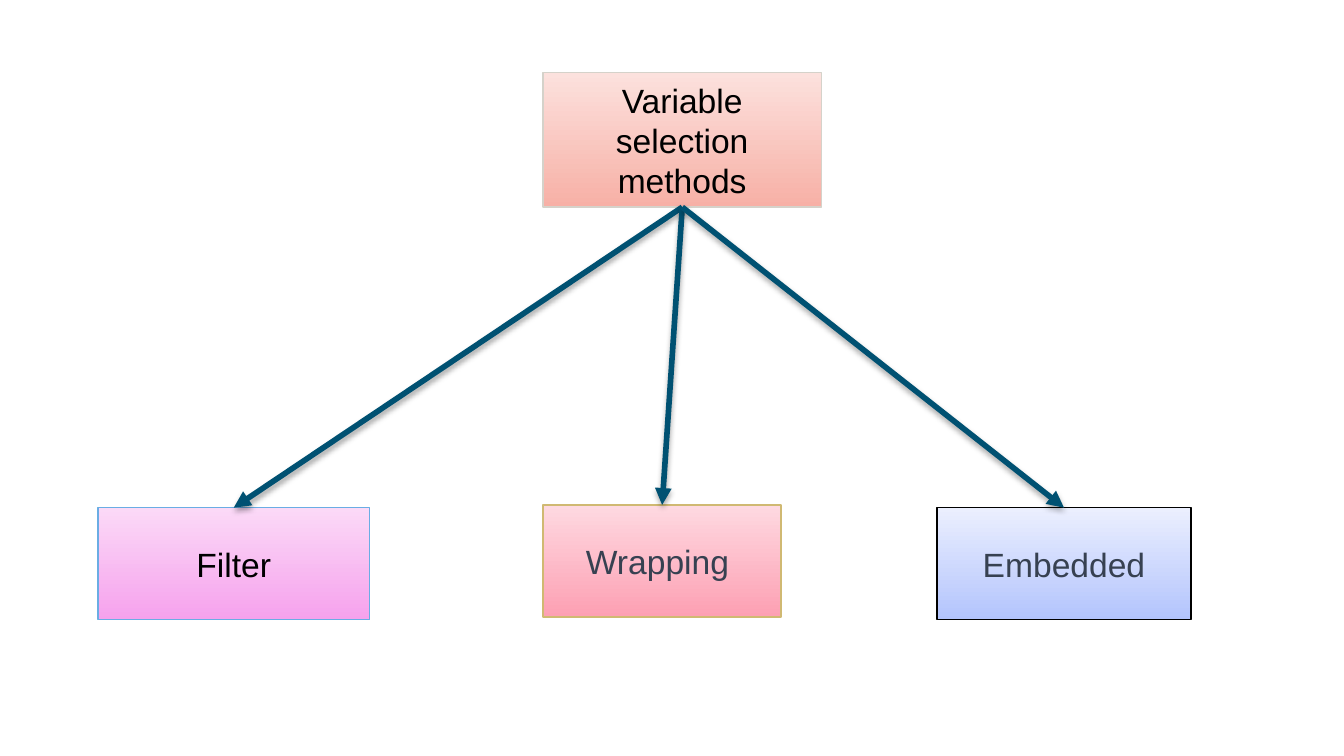
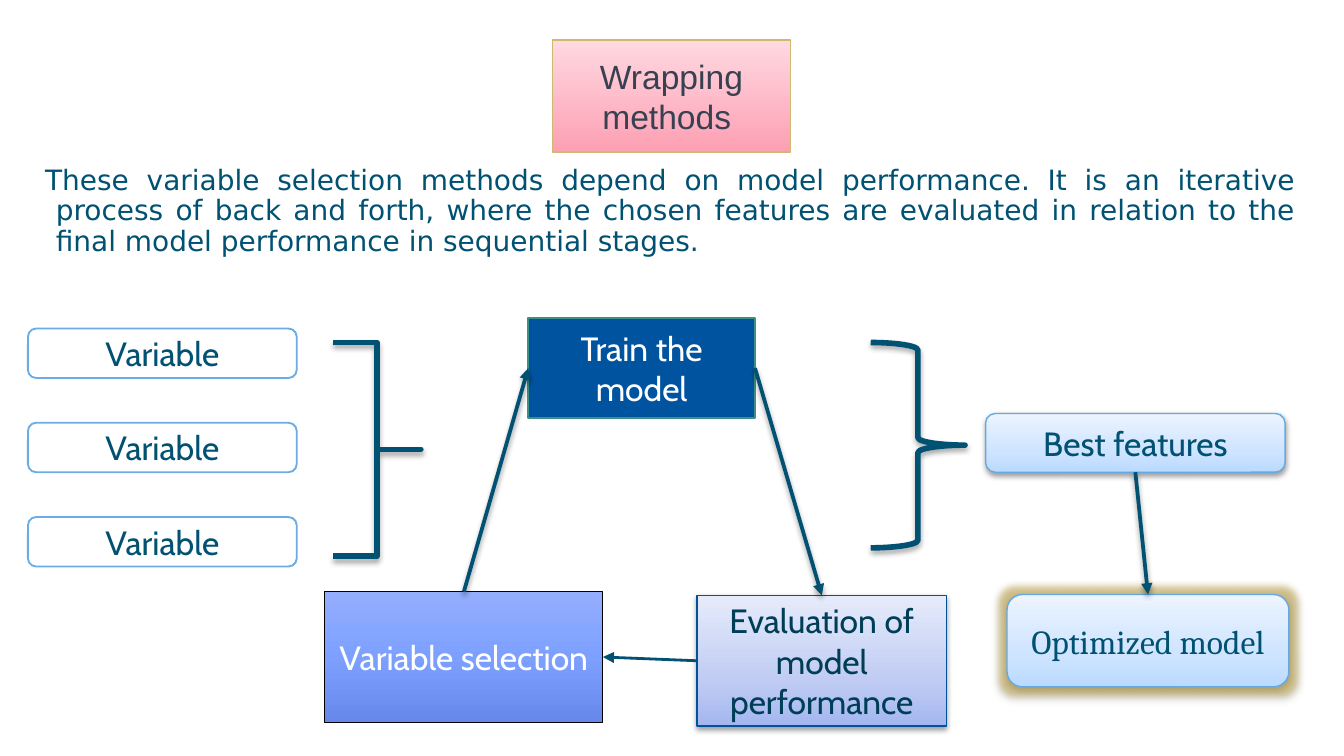
from lxml import etree
from pptx import Presentation
from pptx.dml.color import RGBColor
from pptx.enum.shapes import MSO_CONNECTOR, MSO_SHAPE
from pptx.enum.text import MSO_ANCHOR, MSO_AUTO_SIZE, PP_ALIGN
from pptx.oxml.ns import qn
from pptx.util import Pt

RECT, ROUND = MSO_SHAPE.RECTANGLE, MSO_SHAPE.ROUNDED_RECTANGLE
BRACE = MSO_SHAPE.RIGHT_BRACE
STRAIGHT = MSO_CONNECTOR.STRAIGHT
CENTER, JUSTIFY = PP_ALIGN.CENTER, PP_ALIGN.JUSTIFY
MIDDLE, TOP_ANCHOR = MSO_ANCHOR.MIDDLE, MSO_ANCHOR.TOP
NO_AUTOFIT = MSO_AUTO_SIZE.NONE
TOP, LEFT, BOTTOM, RIGHT = range(4)

TEAL, SLATE, BLACK, WHITE = "005172", "374151", "000000", "FFFFFF"
SKY, GOLD = "6AADE4", "D0B972"
PINK = [(0, "FED9E1"), (100, "FDA0B3")]
ICE = [(0, "ECF4FF"), (65, "CEE4FF"), (100, "BADAFF")]

# Shadows: opacity in percent, blur and distance in points
SOFT = (38, 3.1, 1.6)
DEEP = (35, 3.1, 1.8)


def rgb(value):
    return RGBColor.from_string(value)


def add_color(parent, value, alpha=100):
    color = etree.SubElement(parent, qn("a:srgbClr"), val=value)
    if alpha < 100:
        etree.SubElement(color, qn("a:alpha"), val=str(alpha * 1000))


def set_fill(sp, fill):
    """Fill with nothing, one colour, or a list of stops from top to bottom."""
    if fill is None:
        sp.fill.background()
    elif isinstance(fill, str):
        sp.fill.solid()
        sp.fill.fore_color.rgb = rgb(fill)
    else:
        sp.fill.gradient()
        sp.fill.gradient_angle = 270
        stops = sp._element.spPr.find(qn("a:gradFill")).find(qn("a:gsLst"))
        for stop in list(stops):
            stops.remove(stop)
        for pos, value in fill:
            add_color(etree.SubElement(stops, qn("a:gs"), pos=str(pos * 1000)), value)


def set_line(sp, color, width):
    sp.line.color.rgb = rgb(color)
    sp.line.width = Pt(width)


def set_effects(sp, shadow=None, glow=None):
    """Replace the theme effects; glow is colour, opacity and radius."""
    spPr = sp._element.spPr
    effects = spPr.find(qn("a:effectLst"))
    if effects is None:
        effects = etree.SubElement(spPr, qn("a:effectLst"))
    if glow:
        color, alpha, radius = glow
        add_color(etree.SubElement(effects, qn("a:glow"), rad=str(Pt(radius))), color, alpha)
    if shadow:
        alpha, blur, dist = shadow
        outer = etree.SubElement(effects, qn("a:outerShdw"), blurRad=str(Pt(blur)),
                                 dist=str(Pt(dist)), dir="5400000", rotWithShape="0")
        add_color(outer, BLACK, alpha)


def write(sp, text, font="Cabin", size=18, color=TEAL, align=CENTER, anchor=MIDDLE):
    tf = sp.text_frame
    tf.word_wrap = True
    tf.auto_size = NO_AUTOFIT
    tf.vertical_anchor = anchor
    tf.margin_left = tf.margin_right = Pt(5.4)
    tf.margin_top = tf.margin_bottom = Pt(2.7)
    tf.text = text
    for p in tf.paragraphs:
        p.alignment = align
        for r in p.runs:
            r.font.name, r.font.size = font, Pt(size)
            r.font.color.rgb = rgb(color)
    return tf


def add_box(s, x, y, w, h, text=None, kind=RECT, adj=(), fill=None, line=TEAL,
            width=0.75, shadow=None, glow=None, **text_format):
    sp = s.shapes.add_shape(kind, Pt(x), Pt(y), Pt(w), Pt(h))
    for i, value in enumerate(adj):
        sp.adjustments[i] = value
    sp.shadow.inherit = False
    set_fill(sp, fill)
    set_line(sp, line, width)
    set_effects(sp, shadow, glow)
    if text:
        write(sp, text, **text_format)
    return sp


def add_arrow(s, start, start_side, end, end_side, width=2, shadow=SOFT):
    c = s.shapes.add_connector(STRAIGHT, 0, 0, 0, 0)
    c.begin_connect(start, start_side)
    c.end_connect(end, end_side)
    set_line(c, TEAL, width)
    etree.SubElement(c._element.spPr.find(qn("a:ln")), qn("a:tailEnd"), type="triangle")
    set_effects(c, shadow)


def add_brace(s, x, y, w, h, curve):
    add_box(s, x, y, w, h, kind=BRACE, adj=(curve, 0.5), width=3, shadow=DEEP)


def add_wrapping(s, x, y, text):
    return add_box(s, x, y, 127.5, 60, text, fill=PINK, line=GOLD, font="Arial", color=SLATE)


def method_tree(s, x, y):
    root = add_box(s, x + 238.5, y, 149, 72, "Variable selection methods",
                   fill=[(0, "FCE1DD"), (100, "F7B0A6")], line="D5D2CA",
                   font="Arial", color=BLACK)
    leaves = [
        add_box(s, x, y + 233, 145.5, 60, "Filter", line=SKY, font="Arial", color=BLACK,
                fill=[(0, "FBD9F7"), (100, "F6A2ED")]),
        add_wrapping(s, x + 238.5, y + 231.5, "Wrapping "),
        add_box(s, x + 449.5, y + 233, 136, 60, "Embedded", line=BLACK, font="Arial",
                color=SLATE, fill=[(0, "EBEFFE"), (100, "B3C4FD")]),
    ]
    for leaf in leaves:
        add_arrow(s, root, BOTTOM, leaf, TOP, width=3, shadow=DEEP)


def description(s, x, y, w, h):
    body = s.placeholders[1]
    body.left, body.top, body.width, body.height = Pt(x), Pt(y), Pt(w), Pt(h)
    tf = write(body, "These variable selection methods depend on model performance. "
               "It is an iterative process of back and forth, where the chosen features "
               "are evaluated in relation to the final model performance in sequential "
               "stages.", font="DejaVu Sans", size=15, align=JUSTIFY, anchor=TOP_ANCHOR)
    p = tf.paragraphs[0]
    p.line_spacing, p.space_before = 0.9, Pt(0)
    pPr = p._p.get_or_add_pPr()
    pPr.set("marL", str(Pt(13.5)))
    pPr.set("indent", str(Pt(-5.75)))
    etree.SubElement(pPr, qn("a:buNone"))


def variable_inputs(s, x, y):
    for i in range(3):
        add_box(s, x, y + 50.5 * i, 144, 26.5, "Variable", kind=ROUND, fill=WHITE,
                line=SKY, width=1)
    add_brace(s, x + 163.5, y + 7.5, 47, 114.5, curve=0)


def training_loop(s, x, y):
    train = add_box(s, x + 109, y, 121.5, 53.5, "Train the model", fill="00549F",
                    line="3E9087", width=1, color=WHITE)
    evaluation = add_box(s, x + 199.5, y + 148.5, 133.5, 70,
                         "Evaluation of model performance", line="00529B", shadow=SOFT,
                         fill=[(0, "E6EBFB"), (65, "C0CCF3"), (100, "A3B6EF")],
                         color="003D56")
    selection = add_box(s, x, y + 146.5, 149, 70, "Variable selection", line=BLACK,
                        fill=[(0, "94AEFE"), (50, "7DA0FF"), (100, "6688EA")],
                        color=WHITE)
    add_arrow(s, selection, TOP, train, LEFT)
    add_arrow(s, train, RIGHT, evaluation, TOP)
    add_arrow(s, evaluation, LEFT, selection, RIGHT, width=1.5, shadow=None)


def final_result(s, x, y):
    add_brace(s, x, y, 50.5, 110, curve=0.08)
    look = dict(kind=ROUND, fill=ICE, line="65A9E2", shadow=SOFT)
    best = add_box(s, x + 61.5, y + 38, 160.5, 31.5, "Best features", **look)
    optimized = add_box(s, x + 73, y + 135, 151, 49.5, "Optimized model",
                        font="Cambria", glow=("C8A840", 50, 8), **look)
    add_arrow(s, best, BOTTOM, optimized, TOP)


def overview_slide(prs):
    s = prs.slides.add_slide(prs.slide_layouts[6])
    method_tree(s, 52.5, 39)


def wrapping_slide(prs):
    s = prs.slides.add_slide(prs.slide_layouts[1])
    title = s.shapes.title._element
    title.getparent().remove(title)
    description(s, 11, 86.5, 689, 247)
    training_loop(s, 174, 170.5)
    variable_inputs(s, 15, 176)
    final_result(s, 466.5, 183.5)
    add_wrapping(s, 296, 21.5, "Wrapping\nmethods ")


def main():
    prs = Presentation()
    prs.slide_width, prs.slide_height = Pt(720), Pt(405)
    overview_slide(prs)
    wrapping_slide(prs)
    prs.save("out.pptx")


if __name__ == "__main__":
    main()
